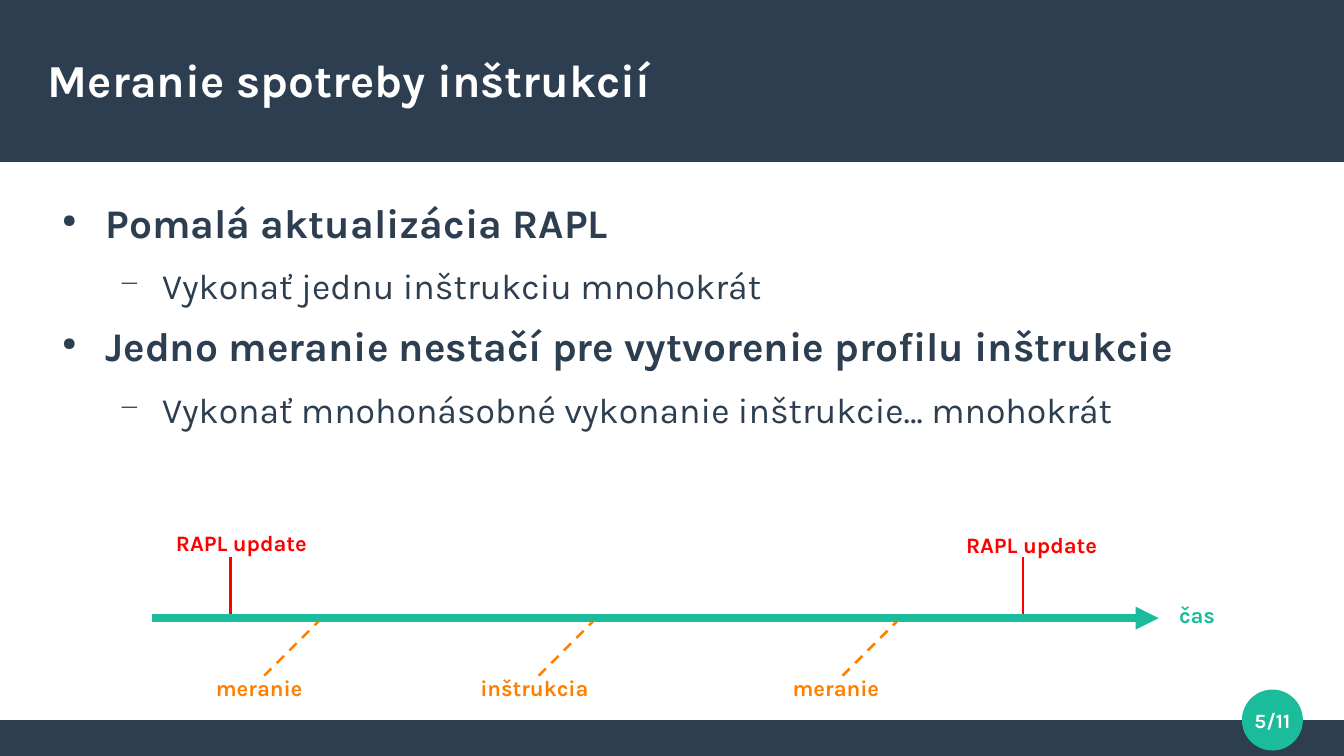
from dataclasses import dataclass

from lxml import etree
from pptx import Presentation
from pptx.dml.color import RGBColor
from pptx.enum import dml, shapes, text
from pptx.oxml import ns
from pptx.util import Pt


@dataclass(frozen=True)
class Theme:
    font: str = "Karla"
    navy: str = "2C3E50"
    green: str = "1ABC9C"
    orange: str = "FF8000"
    red: str = "FF0000"
    white: str = "FFFFFF"
    title: float = 27
    point: float = 24
    detail: float = 21
    label: float = 13
    page: float = 12


WIDTH, HEIGHT = 793.44, 446.4
AXIS_Y, TICK = 365, 36
LEFT, CENTER = text.PP_ALIGN.LEFT, text.PP_ALIGN.CENTER


class SlideBuilder:
    def __init__(self, slide, theme):
        self.slide, self.theme = slide, theme

    def add_xml(self, parent, tag, **attributes):
        return etree.SubElement(parent, ns.qn(tag), attributes)

    def format_frame(self, frame, inset_x=0, inset_y=0, wrap=True,
                     anchor=text.MSO_ANCHOR.MIDDLE):
        settings = {
            "margin_left": Pt(inset_x), "margin_right": Pt(inset_x),
            "margin_top": Pt(inset_y), "margin_bottom": Pt(inset_y),
            "word_wrap": wrap, "vertical_anchor": anchor,
            "auto_size": text.MSO_AUTO_SIZE.NONE,
        }
        for name, value in settings.items():
            setattr(frame, name, value)

    def add_words(self, paragraph, words, size, color, bold=True, align=LEFT):
        paragraph.alignment = align
        run = paragraph.add_run()
        run.text = words
        settings = {"name": self.theme.font, "size": Pt(size), "bold": bold}
        for name, value in settings.items():
            setattr(run.font, name, value)
        run.font.color.rgb = RGBColor.from_string(color)

    def title(self, words, left, top, width, height):
        heading = self.slide.shapes.title
        bounds = {"left": left, "top": top, "width": width, "height": height}
        for name, value in bounds.items():
            setattr(heading, name, Pt(value))
        self.format_frame(heading.text_frame)
        self.add_words(heading.text_frame.paragraphs[0], words,
                       self.theme.title, self.theme.white)
        # Bring the heading in front of the header band
        self.slide.shapes.element.append(heading.element)

    def shape(self, kind, left, top, width, height, color):
        figure = self.slide.shapes.add_shape(
            kind, Pt(left), Pt(top), Pt(width), Pt(height))
        figure.shadow.inherit = False
        figure.fill.solid()
        figure.fill.fore_color.rgb = RGBColor.from_string(color)
        figure.line.fill.background()
        return figure

    def band(self, top, height):
        self.shape(shapes.MSO_SHAPE.RECTANGLE, 0, top, WIDTH, height,
                   self.theme.navy)

    def page_badge(self, words, center_x, center_y, diameter):
        badge = self.shape(shapes.MSO_SHAPE.OVAL, center_x - diameter / 2,
                           center_y - diameter / 2, diameter, diameter,
                           self.theme.green)
        self.format_frame(badge.text_frame, wrap=False)
        self.add_words(badge.text_frame.paragraphs[0], words, self.theme.page,
                       self.theme.white, align=CENTER)

    def bullets(self, items, left, top, width, height):
        """Add an outline from (level, words) pairs."""
        theme = self.theme
        levels = [
            (34, 10.6, "●", "45000", theme.point, True),
            (67.5, 8.5, "−", "75000", theme.detail, False),
        ]
        frame = self.slide.shapes.add_textbox(
            Pt(left), Pt(top), Pt(width), Pt(height)).text_frame
        self.format_frame(frame, anchor=text.MSO_ANCHOR.TOP)
        for index, (level, words) in enumerate(items):
            paragraph = frame.add_paragraph() if index else frame.paragraphs[0]
            indent, after, mark, scale, size, bold = levels[level]
            properties = paragraph._p.get_or_add_pPr()
            properties.set("marL", str(Pt(indent)))
            properties.set("indent", str(Pt(-25.5)))
            mark_color = self.add_xml(properties, "a:buClr")
            self.add_xml(mark_color, "a:srgbClr", val=theme.navy)
            self.add_xml(properties, "a:buSzPct", val=scale)
            self.add_xml(properties, "a:buChar", char=mark)
            paragraph.level = level
            paragraph.space_after = Pt(after)
            self.add_words(paragraph, words, size, theme.navy, bold)

    def line(self, start, end, color, width=1.5, dashed=False, arrow=False):
        connector = self.slide.shapes.add_connector(
            shapes.MSO_CONNECTOR.STRAIGHT, *map(Pt, start + end))
        connector.line.color.rgb = RGBColor.from_string(color)
        connector.line.width = Pt(width)
        if dashed:
            connector.line.dash_style = dml.MSO_LINE.DASH
        properties = connector.element.spPr
        if arrow:
            self.add_xml(properties.find(ns.qn("a:ln")), "a:tailEnd",
                         type="triangle")
        self.add_xml(properties, "a:effectLst")

    def label(self, words, center_x, center_y, color):
        width, height = 108, 24.5
        frame = self.slide.shapes.add_textbox(
            Pt(center_x - width / 2), Pt(center_y - height / 2),
            Pt(width), Pt(height)).text_frame
        self.format_frame(frame, 7.2, 3.6)
        self.add_words(frame.paragraphs[0], words, self.theme.label, color,
                       align=CENTER)


def main():
    deck = Presentation()
    deck.slide_width, deck.slide_height = Pt(WIDTH), Pt(HEIGHT)
    theme = Theme()
    page = SlideBuilder(deck.slides.add_slide(deck.slide_layouts[5]), theme)

    page.band(425.2, 21.2)
    page.band(0, 95.7)
    page.page_badge("5/11", 751.2, 425.2, 36)
    page.title("Meranie spotreby inštrukcií", 28.3, 18, 737, 57)
    page.bullets([
        (0, "Pomalá aktualizácia RAPL"),
        (1, "Vykonať jednu inštrukciu mnohokrát"),
        (0, "Jedno meranie nestačí pre vytvorenie profilu inštrukcie"),
        (1, "Vykonať mnohonásobné vykonanie inštrukcie… mnohokrát"),
    ], 28.3, 116.6, 737, 171)

    for words, event_x, label_x in [("meranie", 190, 153),
                                    ("inštrukcia", 352, 315.5),
                                    ("meranie", 531.4, 493.5)]:
        page.line((event_x, AXIS_Y), (event_x - TICK, AXIS_Y + TICK),
                  theme.orange, dashed=True)
        page.label(words, label_x, 406, theme.orange)

    for update_x, label_x, label_y in [(136, 142.5, 320.4),
                                       (604, 609, 321.4)]:
        page.line((update_x, AXIS_Y - TICK), (update_x, AXIS_Y), theme.red)
        page.label("RAPL update", label_x, label_y, theme.red)

    page.line((90, AXIS_Y), (684, AXIS_Y), theme.green, width=4.5, arrow=True)
    page.label("čas", 706.7, 363, theme.green)
    deck.save("out.pptx")


if __name__ == "__main__":
    main()
